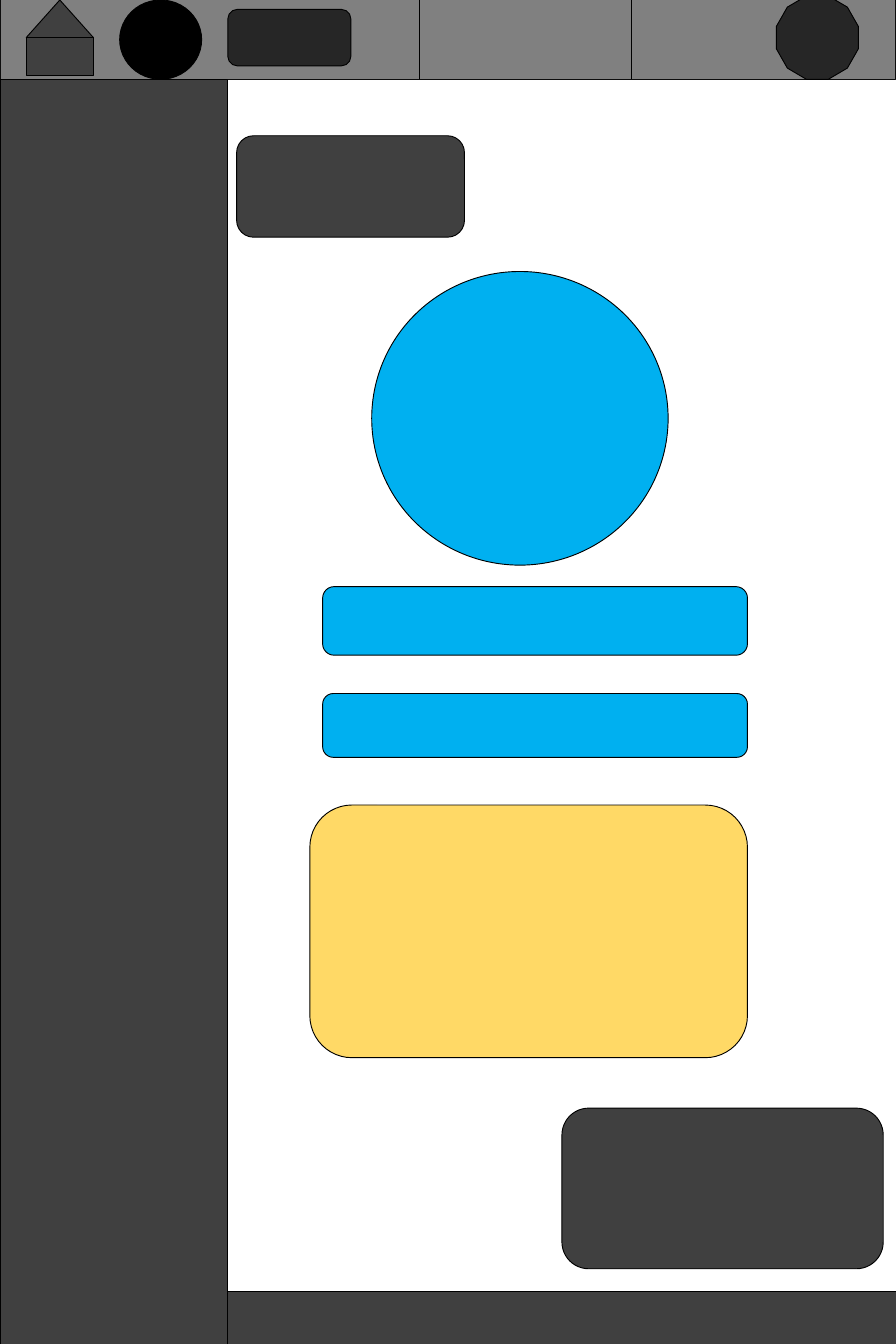
import pptx
import pptx.util
import pptx.dml.color
import pptx.enum.shapes
import pptx.oxml.ns
import lxml.etree
from dataclasses import dataclass

PX = 9144  # EMU per px, 100 px to the inch
WIDE, HIGH = 1333, 2000
KIND = pptx.enum.shapes.MSO_SHAPE


@dataclass(frozen=True)
class Theme:
    bar: str = "808080"
    edge: str = "0D0D0D"
    panel: str = "404040"
    dark: str = "262626"
    black: str = "000000"
    blue: str = "00B0F0"
    gold: str = "FFD966"
    line: float = 1


class Page:
    def __init__(self, slide, theme):
        self.slide = slide
        self.theme = theme

    def ink(self, line, color, width):
        line.color.rgb = pptx.dml.color.RGBColor.from_string(color)
        line.width = pptx.util.Pt(width)

    def shape(self, kind, left, top, width, height, fill, edge=None):
        item = self.slide.shapes.add_shape(
            kind, left * PX, top * PX, width * PX, height * PX)
        item.shadow.inherit = False
        item.fill.solid()
        item.fill.fore_color.rgb = pptx.dml.color.RGBColor.from_string(fill)
        self.ink(item.line, edge or self.theme.black, self.theme.line)

    def rect(self, *box, **ink):
        self.shape(KIND.RECTANGLE, *box, **ink)

    def round(self, *box, **ink):
        self.shape(KIND.ROUNDED_RECTANGLE, *box, **ink)

    def oval(self, *box, **ink):
        self.shape(KIND.OVAL, *box, **ink)

    def rule(self, left, top, end, width):
        item = self.slide.shapes.add_connector(
            pptx.enum.shapes.MSO_CONNECTOR.STRAIGHT,
            left * PX, top * PX, left * PX, end * PX)
        self.ink(item.line, self.theme.black, width)
        lxml.etree.SubElement(
            item.element.spPr, pptx.oxml.ns.qn("a:effectLst"))


def main():
    deck = pptx.Presentation()
    deck.slide_width, deck.slide_height = WIDE * PX, HIGH * PX
    theme = Theme()
    page = Page(deck.slides.add_slide(deck.slide_layouts[6]), theme)
    head, side, foot = 118, 339, 1922

    # Top bar with home icon, badge and button
    page.rect(0, -6, WIDE, head + 6, fill=theme.bar, edge=theme.edge)
    page.shape(KIND.ISOSCELES_TRIANGLE, 39, 0, 100, 56, fill=theme.panel)
    page.rect(39, 56, 100, 56, fill=theme.panel)
    page.oval(178, 0, 122, head, fill=theme.black)
    page.round(side, 14, 183, 84, fill=theme.dark)

    # Bar dividers and user badge
    for left, width in ((624, 1.5), (939, 0.5)):
        page.rule(left, 0, head, width)
    page.shape(KIND.DODECAGON, 1155, -6, 122, head + 6, fill=theme.dark)

    # Side panel and footer
    page.rect(0, head, side, HIGH - head, fill=theme.panel)
    page.rect(side, foot, WIDE - side, HIGH - foot, fill=theme.panel)

    # Corner panels
    page.round(836, 1649, 478, 239, fill=theme.panel)
    page.round(352, 202, 339, 151, fill=theme.panel)

    # Profile disc, two fields and the main card
    page.oval(553, 404, 441, 437, fill=theme.blue)
    for top, height in ((873, 102), (1032, 95)):
        page.round(480, top, 632, height, fill=theme.blue)
    page.round(461, 1198, 651, 376, fill=theme.gold)

    deck.save("out.pptx")


if __name__ == "__main__":
    main()
